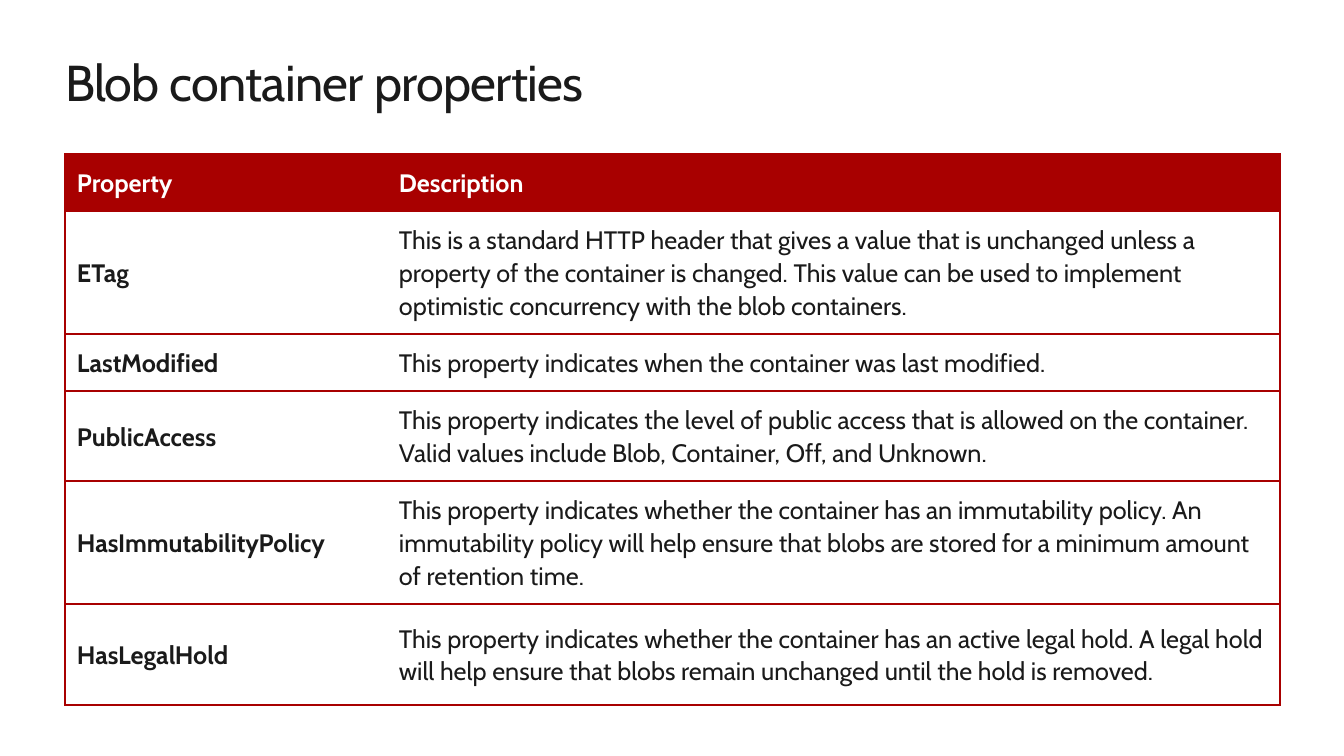
from lxml import etree
from pptx import Presentation
from pptx.dml.color import RGBColor
from pptx.enum.text import MSO_ANCHOR, PP_ALIGN
from pptx.oxml.ns import qn
from pptx.util import Emu, Pt

PX = 914400 / 100.8
RED = RGBColor(0xA8, 0x00, 0x00)
INK = RGBColor(0x1A, 0x1A, 0x1A)
WHITE = RGBColor(0xFF, 0xFF, 0xFF)
MIDDLE = MSO_ANCHOR.MIDDLE
LEFT = PP_ALIGN.LEFT

COLS = [322, 893]
ROWS = [
    (57, "Property", "Description"),
    (123, "ETag", "This is a standard HTTP header that gives a value that is unchanged "
     "unless a property of the container is changed. This value can be used to implement "
     "optimistic concurrency with the blob containers."),
    (57, "LastModified", "This property indicates when the container was last modified."),
    (90, "PublicAccess", "This property indicates the level of public access that is allowed "
     "on the container. Valid values include Blob, Container, Off, and Unknown."),
    (123, "HasImmutabilityPolicy", "This property indicates whether the container has an "
     "immutability policy. An immutability policy will help ensure that blobs are stored "
     "for a minimum amount of retention time."),
    (101, "HasLegalHold", "This property indicates whether the container has an active legal "
     "hold. A legal hold will help ensure that blobs remain unchanged until the hold is "
     "removed."),
]


def px(n):
    return Emu(round(n * PX))


def write(frame, text, size, color, bold=False, space=1.0, track=0, inset=0):
    frame.margin_left = frame.margin_right = px(inset)
    frame.margin_top = frame.margin_bottom = px(inset)
    frame.vertical_anchor = MIDDLE
    frame.word_wrap = True
    para = frame.paragraphs[0]
    para.alignment = LEFT
    para.line_spacing = space
    run = para.add_run()
    run.text = text
    font = run.font
    font.name, font.size, font.bold = "Cabin", Pt(size), bold
    font.color.rgb = color
    if track:
        font._element.set("spc", str(track))


deck = Presentation()
deck.slide_width, deck.slide_height = px(1344), px(756)
slide = deck.slides.add_slide(deck.slide_layouts[5])

title = slide.shapes.title
title.left, title.top, title.width, title.height = px(65), px(50), px(1215), px(62)
write(title.text_frame, "Blob container properties", 36, INK, track=-50)

high = sum(row[0] for row in ROWS)
table = slide.shapes.add_table(
    len(ROWS), len(COLS), px(65), px(154), px(sum(COLS)), px(high)).table
table.horz_banding = False
for col, width in zip(table.columns, COLS):
    col.width = px(width)

for r, (height, *texts) in enumerate(ROWS):
    table.rows[r].height = px(height)
    for c, text in enumerate(texts):
        cell = table.cell(r, c)
        head = r == 0
        inner = "R" if c == 0 else "L"
        props = cell._tc.get_or_add_tcPr()
        for side in "LRTB":
            line = etree.SubElement(props, qn("a:ln" + side), w=str(Pt(1)))
            if side == inner:
                etree.SubElement(line, qn("a:noFill"))
            else:
                fill = etree.SubElement(line, qn("a:solidFill"))
                etree.SubElement(fill, qn("a:srgbClr"), val=str(RED))
        cell.fill.solid()
        cell.fill.fore_color.rgb = RED if head else WHITE
        write(cell.text_frame, text, 18, WHITE if head else INK,
              bold=head or c == 0, space=1.07)
        cell.vertical_anchor = MIDDLE
        cell.margin_left = cell.margin_right = px(12)
        cell.margin_top = cell.margin_bottom = px(12)

deck.save("out.pptx")
